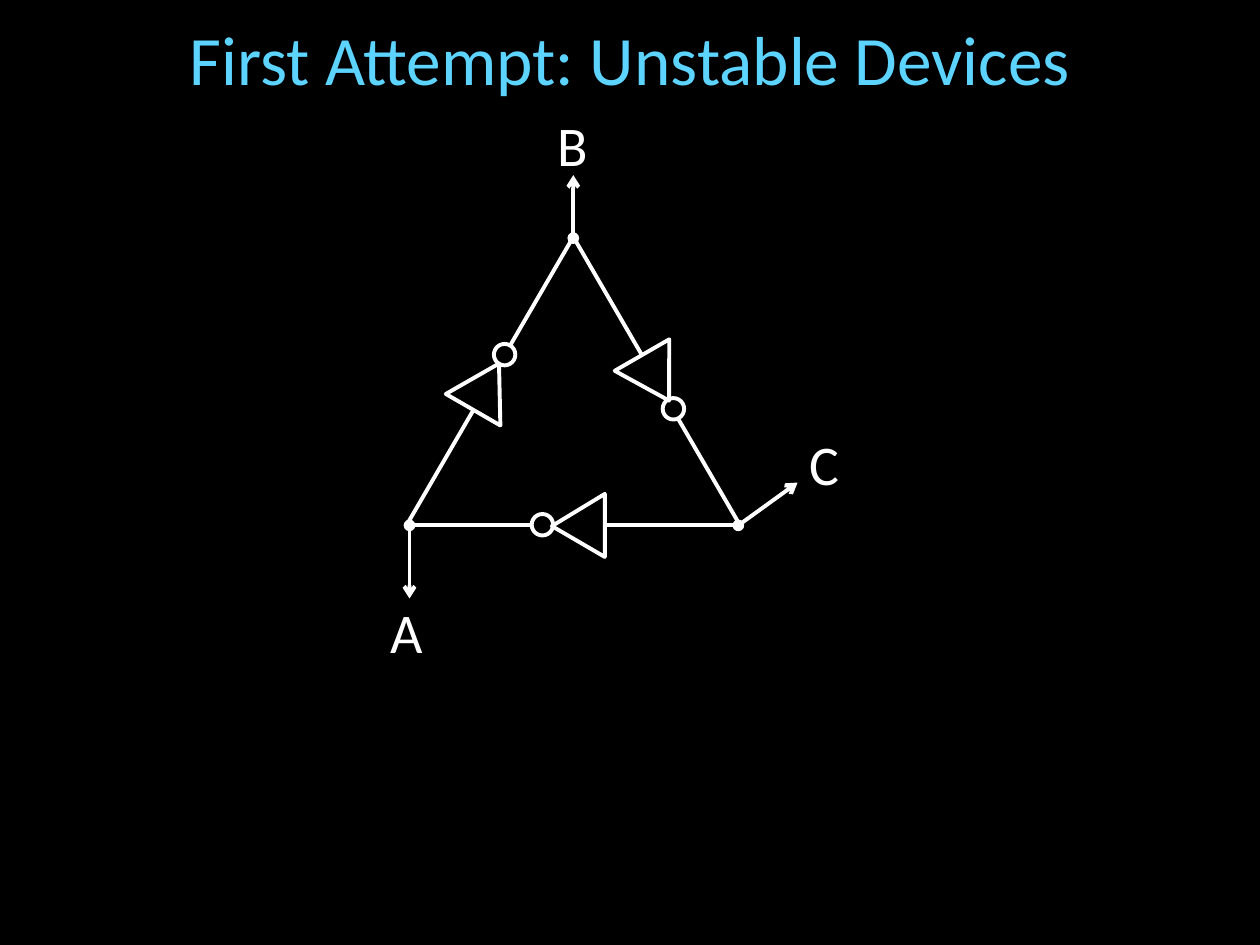
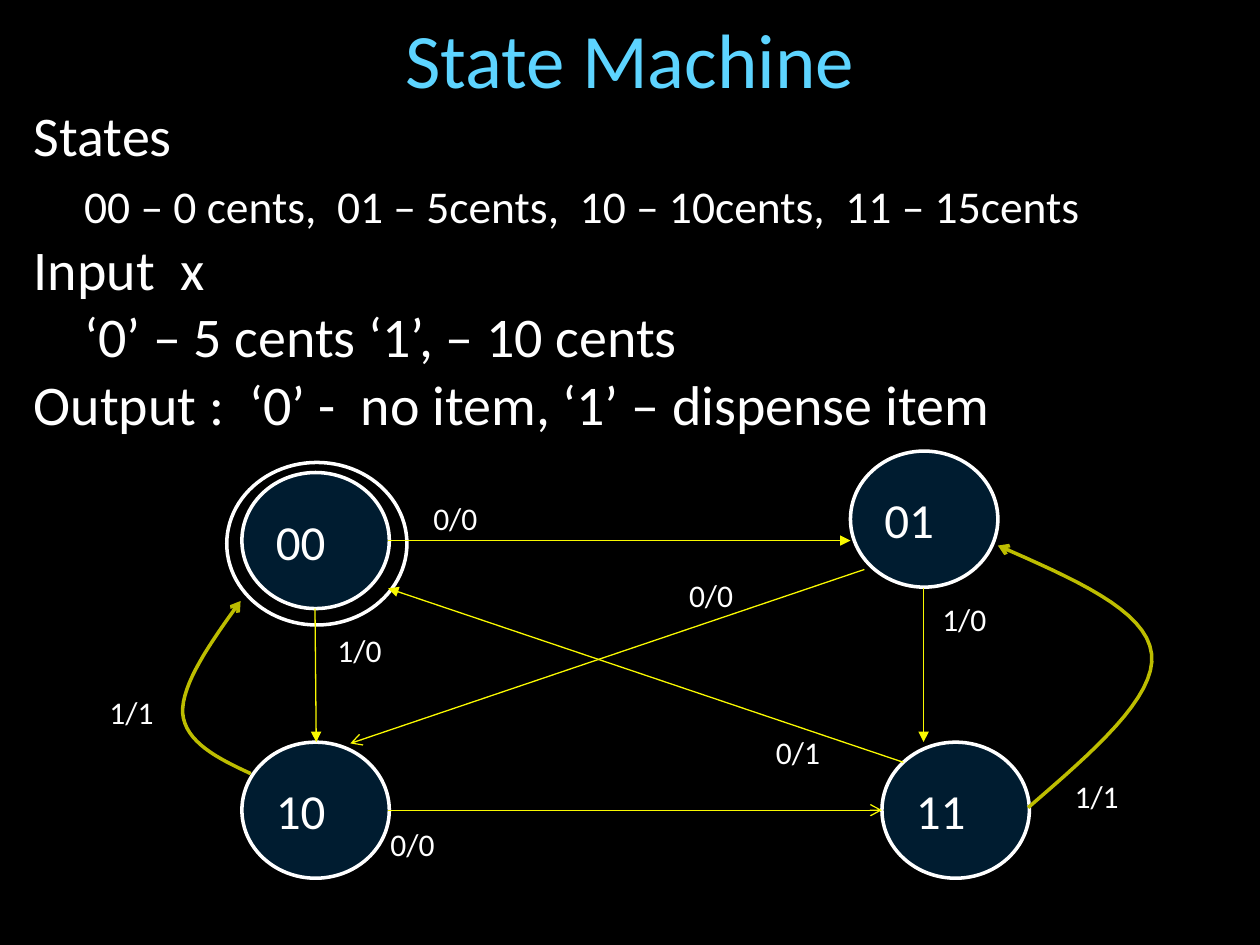
from lxml.etree import SubElement
from pptx import Presentation
from pptx.dml.color import RGBColor
from pptx.enum.shapes import MSO_CONNECTOR, MSO_SHAPE
from pptx.enum.text import MSO_ANCHOR, PP_ALIGN
from pptx.oxml.ns import qn
from pptx.util import Pt

PX = 9144
FONT = "Calibri"
BLACK, WHITE, SKY = "000000", "FFFFFF", "5DD4FF"
NAVY, YELLOW, OLIVE = "003860", "F9F900", "BDBD00"


def rgb(value):
    return RGBColor.from_string(value)


def bezier(p0, p1, p2, p3, steps=16):
    for i in range(1, steps + 1):
        t = i / steps
        u = 1 - t
        yield tuple(u**3 * a + 3 * u * u * t * b + 3 * u * t * t * c + t**3 * d
                    for a, b, c, d in zip(p0, p1, p2, p3))


class Deck:
    def __init__(self, width, height):
        self.prs = Presentation()
        self.prs.slide_width, self.prs.slide_height = width * PX, height * PX
        self.s = None

    def slide(self, title, size):
        self.s = self.prs.slides.add_slide(self.prs.slide_layouts[6])
        fill = self.s.background.fill
        fill.solid()
        fill.fore_color.rgb = rgb(BLACK)
        tf = self.text(25, 17, 950, 58, title, size, SKY, PP_ALIGN.CENTER)
        tf.vertical_anchor = MSO_ANCHOR.MIDDLE

    def paragraph(self, p, text, size, color=WHITE, align=PP_ALIGN.LEFT):
        p.text = text
        p.alignment = align
        p.font.name, p.font.size = FONT, Pt(size)
        p.font.color.rgb = rgb(color)

    def text(self, x, y, w, h, text, size, color=WHITE, align=PP_ALIGN.LEFT):
        tf = self.s.shapes.add_textbox(x * PX, y * PX, w * PX, h * PX).text_frame
        tf.word_wrap = True
        self.paragraph(tf.paragraphs[0], text, size, color, align)
        return tf

    def outline(self, sp, color, width, head=None, tail=None):
        sp.line.color.rgb = rgb(color)
        sp.line.width = Pt(width)
        ln = sp._element.spPr.find(qn("a:ln"))
        for tag, kind in (("a:headEnd", head), ("a:tailEnd", tail)):
            if kind:
                SubElement(ln, qn(tag), type=kind)

    def shape(self, kind, x, y, w, h, width, fill=None, rotation=0):
        sp = self.s.shapes.add_shape(kind, x * PX, y * PX, w * PX, h * PX)
        sp.shadow.inherit = False
        sp.rotation = rotation
        if fill:
            sp.fill.solid()
            sp.fill.fore_color.rgb = rgb(fill)
        else:
            sp.fill.background()
        self.outline(sp, WHITE, width)
        return sp

    def line(self, start, end, color, width, head=None, tail=None):
        ends = [v * PX for v in (*start, *end)]
        sp = self.s.shapes.add_connector(MSO_CONNECTOR.STRAIGHT, *ends)
        self.outline(sp, color, width, head, tail)
        SubElement(sp._element.spPr, qn("a:effectLst"))

    def curve(self, points):
        outline = [points[0]]
        for i in range(0, len(points) - 1, 3):
            outline += bezier(*points[i:i + 4])
        outline = [(x * PX, y * PX) for x, y in outline]
        builder = self.s.shapes.build_freeform(*outline[0])
        builder.add_line_segments(outline[1:], close=False)
        sp = builder.convert_to_shape()
        sp.shadow.inherit = False
        sp.fill.background()
        self.outline(sp, OLIVE, 2, tail="arrow")

    def inverter(self, triangle, rotation, bubble, wires):
        sp = self.shape(MSO_SHAPE.ISOSCELES_TRIANGLE, *triangle, 50, 42, 2.25,
                        rotation=rotation)
        sp.adjustments[0] = 0.49
        self.shape(MSO_SHAPE.OVAL, *bubble, 17, 17, 2.25)
        for start, end in wires:
            self.line(start, end, WHITE, 2.25)

    def output(self, name, label, tip, node):
        self.line(tip, node, WHITE, 2.25, "arrow", "oval")
        self.text(*label, 42, 64, name, 32, align=PP_ALIGN.CENTER)

    def state(self, name, x, y):
        sp = self.shape(MSO_SHAPE.OVAL, x, y, 117, 108, 2, NAVY)
        color = sp._element.spPr.find(qn("a:solidFill"))[0]
        SubElement(color, qn("a:alpha"), val="50000")
        tf = sp.text_frame
        tf.word_wrap = True
        tf.vertical_anchor = MSO_ANCHOR.MIDDLE
        self.paragraph(tf.paragraphs[0], name, 28)


def unstable_devices(deck):
    deck.slide("First Attempt: Unstable Devices", 39.6)
    for gate in (
        ((495, 279), 150, (526, 316), [((588, 418), (538, 332)), ((509, 281), (455, 188))]),
        ((361, 286), 30, (392, 273), [((455, 188), (405, 274)), ((376, 325), (322, 418))]),
        ((434, 396), 270, (422, 408), [((322, 417), (422, 417)), ((480, 417), (589, 417))]),
    ):
        deck.inverter(*gate)
    deck.output("A", (300, 469), (325, 475), (325, 417))
    deck.output("B", (433, 83), (455, 139), (455, 189))
    deck.output("C", (633, 336), (633, 383), (586, 417))


def state_machine(deck):
    deck.slide("State Machine", 44)
    tf = deck.text(17, 75, 967, 279, "States", 32)
    for text, size, indent in (
        ("00 – 0 cents,  01 – 5cents,  10 – 10cents,  11 – 15cents", 26, 40),
        ("Input  x", 32, 0),
        ("‘0’ – 5 cents ‘1’, – 10 cents", 32, 40),
        ("Output :  ‘0’ -  no item, ‘1’ – dispense item", 32, 0),
    ):
        p = tf.add_paragraph()
        p._p.get_or_add_pPr().set("marL", str(indent * PX))
        deck.paragraph(p, text, size)
        if size == 26:
            p.space_before, p.space_after = Pt(6), Pt(1)

    for name, x, y in (("00", 192, 375), ("01", 675, 358),
                       ("10", 192, 589), ("11", 700, 589)):
        deck.state(name, x, y)
    deck.shape(MSO_SHAPE.OVAL, 180, 367, 143, 129, 2)

    for start, end, tip in (
        ((308, 429), (675, 429), "triangle"),
        ((308, 643), (700, 643), "arrow"),
        ((717, 605), (308, 467), "triangle"),
        ((733, 467), (733, 589), "triangle"),
        ((250, 483), (251, 589), "triangle"),
        ((686, 452), (278, 590), "arrow"),
    ):
        deck.line(start, end, YELLOW, 0.75, tail=tip)
    deck.curve([(816, 641), (867, 597), (918, 553), (914, 519),
                (910, 484), (851, 459), (792, 433)])
    deck.curve([(199, 614), (173, 602), (147, 589), (145, 566),
                (144, 543), (167, 510), (191, 477)])

    for label, x, y in (
        ("1/0", 738, 471), ("1/1", 843, 612), ("0/0", 334, 391), ("0/0", 300, 650),
        ("1/0", 258, 496), ("1/1", 77, 545), ("0/1", 606, 577), ("0/0", 537, 452),
    ):
        deck.text(x, y, 65, 40, label, 18)


def main():
    deck = Deck(1000, 750)
    unstable_devices(deck)
    state_machine(deck)
    deck.prs.save("out.pptx")


if __name__ == "__main__":
    main()
